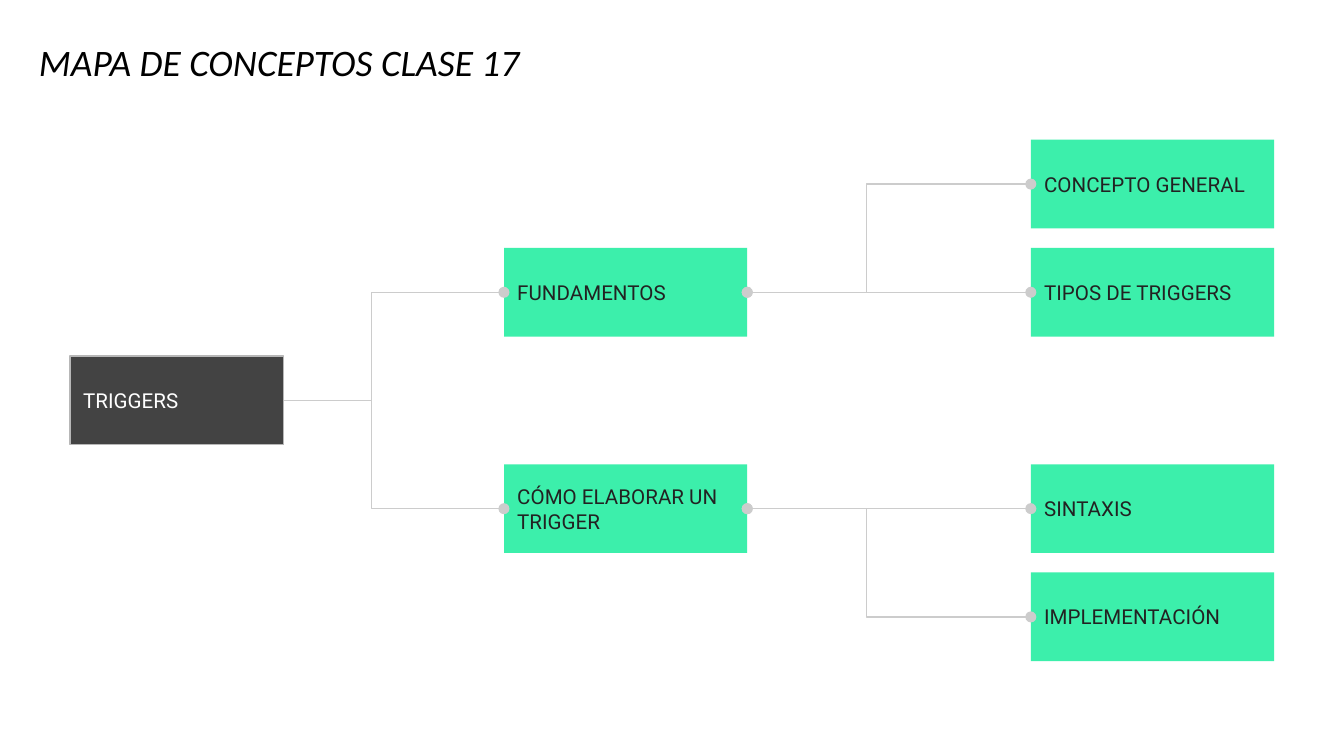
from dataclasses import dataclass

from lxml.etree import SubElement
from pptx import Presentation
from pptx.dml.color import RGBColor
from pptx.enum.shapes import MSO_CONNECTOR, MSO_SHAPE
from pptx.enum.text import MSO_ANCHOR, MSO_AUTO_SIZE, PP_ALIGN
from pptx.oxml.ns import qn
from pptx.util import Inches, Pt

TITLE = "MAPA DE CONCEPTOS CLASE 17"
CONCEPTS = [
    ("TRIGGERS", 0, 2),
    ("FUNDAMENTOS", 1, 1),
    ("CÓMO ELABORAR UN TRIGGER", 1, 3),
    ("CONCEPTO GENERAL", 2, 0),
    ("TIPOS DE TRIGGERS", 2, 1),
    ("SINTAXIS", 2, 3),
    ("IMPLEMENTACIÓN", 2, 4),
]
BRANCHES = [
    ("TRIGGERS", ["FUNDAMENTOS", "CÓMO ELABORAR UN TRIGGER"], 0.4, False),
    ("FUNDAMENTOS", ["CONCEPTO GENERAL", "TIPOS DE TRIGGERS"], 0.42, True),
    ("CÓMO ELABORAR UN TRIGGER", ["SINTAXIS", "IMPLEMENTACIÓN"], 0.42, True),
]

SLIDE_WIDTH = Inches(10)
SLIDE_HEIGHT = SLIDE_WIDTH * 9 // 16
COLUMNS = [(0.52, 1.59), (3.75, 1.81), (7.67, 1.81)]
FIRST_ROW, LAST_ROW, ROW_COUNT = 1.04, 4.26, 5
ROW_STEP = (LAST_ROW - FIRST_ROW) / (ROW_COUNT - 1)
BOX_HEIGHT = 0.66
LEFT_SITE, RIGHT_SITE = 1, 3


@dataclass(frozen=True)
class Theme:
    root: RGBColor = RGBColor.from_string("434343")
    root_edge: RGBColor = RGBColor.from_string("B7B7B7")
    root_text: RGBColor = RGBColor.from_string("FFFFFF")
    topic: RGBColor = RGBColor.from_string("3CEFAB")
    topic_text: RGBColor = RGBColor.from_string("222222")
    branch: RGBColor = RGBColor.from_string("CCCCCC")
    title: RGBColor = RGBColor.from_string("000000")
    title_font: str = "Calibri"
    topic_font: str = "Roboto"
    title_size: Pt = Pt(20)
    topic_size: Pt = Pt(11)
    stroke: Pt = Pt(0.75)


THEME = Theme()


def set_font(font, name, size, color):
    font.name, font.size = name, size
    font.color.rgb = color


def write_title(slide):
    title = slide.shapes.title
    title.left, title.top = Inches(0.19), Inches(0.22)
    title.width, title.height = Inches(8.26), Inches(0.46)
    frame = title.text_frame
    frame.text = TITLE
    frame.auto_size = MSO_AUTO_SIZE.NONE
    frame.vertical_anchor = MSO_ANCHOR.BOTTOM
    heading = frame.paragraphs[0]
    heading.alignment = PP_ALIGN.LEFT
    heading.line_spacing = 0.9
    set_font(heading.font, THEME.title_font, THEME.title_size, THEME.title)
    heading.font.italic = True


def add_concept(slide, label, column, row):
    left, width = COLUMNS[column]
    top = FIRST_ROW + row * ROW_STEP
    box = slide.shapes.add_shape(
        MSO_SHAPE.RECTANGLE, Inches(left), Inches(top), Inches(width), Inches(BOX_HEIGHT)
    )
    box.shadow.inherit = False
    is_root = column == 0
    box.fill.solid()
    box.fill.fore_color.rgb = THEME.root if is_root else THEME.topic
    if is_root:
        box.line.color.rgb = THEME.root_edge
        box.line.width = THEME.stroke
    else:
        box.line.fill.background()

    frame = box.text_frame
    frame.text = label
    frame.word_wrap = True
    frame.vertical_anchor = MSO_ANCHOR.MIDDLE
    frame.margin_left = frame.margin_right = Inches(0.1)
    frame.margin_top = frame.margin_bottom = Inches(0.1)
    caption = frame.paragraphs[0]
    caption.alignment = PP_ALIGN.LEFT
    color = THEME.root_text if is_root else THEME.topic_text
    set_font(caption.font, THEME.topic_font, THEME.topic_size, color)
    return box


def add_branch(slide, parent, child, bend, dot_at_parent):
    branch = slide.shapes.add_connector(
        MSO_CONNECTOR.ELBOW,
        parent.left + parent.width,
        parent.top + parent.height // 2,
        child.left,
        child.top + child.height // 2,
    )
    branch.begin_connect(parent, RIGHT_SITE)
    branch.end_connect(child, LEFT_SITE)
    branch.line.color.rgb = THEME.branch
    branch.line.width = THEME.stroke

    properties = branch._element.spPr
    guides = properties.find(qn("a:prstGeom")).find(qn("a:avLst"))
    SubElement(guides, qn("a:gd"), name="adj1", fmla=f"val {round(bend * 100000)}")
    stroke = properties.find(qn("a:ln"))
    if dot_at_parent:
        SubElement(stroke, qn("a:headEnd"), type="oval")
    SubElement(stroke, qn("a:tailEnd"), type="oval")
    SubElement(properties, qn("a:effectLst"))


def main():
    deck = Presentation()
    deck.slide_width, deck.slide_height = SLIDE_WIDTH, SLIDE_HEIGHT
    slide = deck.slides.add_slide(deck.slide_layouts[5])
    write_title(slide)
    boxes = {
        label: add_concept(slide, label, column, row) for label, column, row in CONCEPTS
    }
    for parent, children, bend, dot_at_parent in BRANCHES:
        for child in children:
            add_branch(slide, boxes[parent], boxes[child], bend, dot_at_parent)
    deck.save("out.pptx")


if __name__ == "__main__":
    main()
